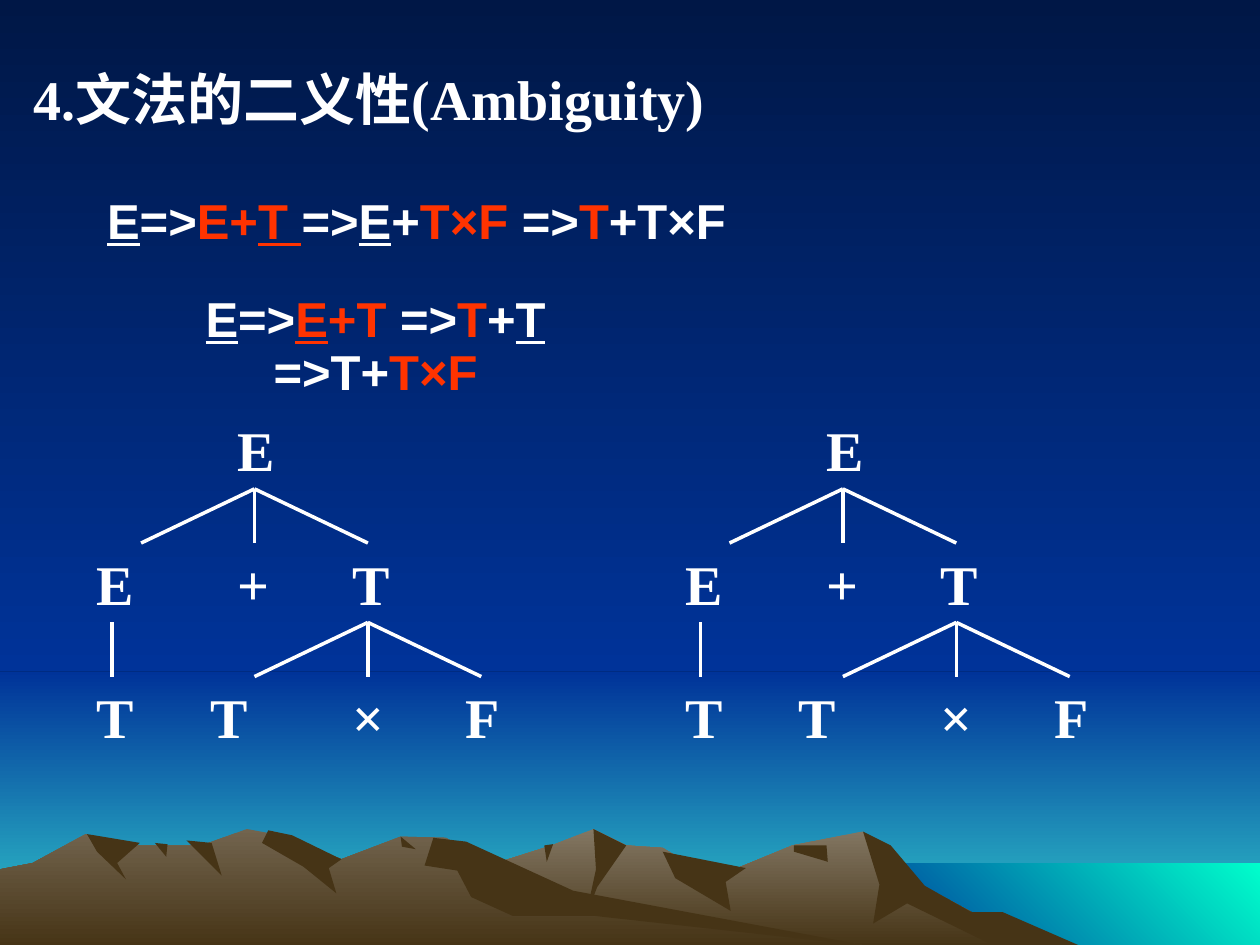
import pptx
import pptx.util
import pptx.dml.color
import pptx.enum.shapes
import pptx.enum.text
import pptx.oxml.ns
import lxml.etree

Inches = pptx.util.Inches
COLORS = {
    "night": "001746", "blue": "003399", "horizon": "33CCCC", "sea": "00FFCC",
    "far_rock": "837763", "near_rock": "72644E", "shade": "463416",
    "white": "FFFFFF", "red": "FF3300",
}


def paint(fill, start, end=None, angle=270):
    if end is None:
        fill.solid()
        fill.fore_color.rgb = pptx.dml.color.RGBColor.from_string(COLORS[start])
        return
    fill.gradient()
    fill.gradient_angle = angle
    for stop, color in zip(fill.gradient_stops, (start, end)):
        stop.color.rgb = pptx.dml.color.RGBColor.from_string(COLORS[color])


def write(left, top, width, height, runs, size, font, align, wrap):
    box = slide.shapes.add_textbox(Inches(left), Inches(top), Inches(width), Inches(height))
    frame = box.text_frame
    frame.word_wrap = wrap
    if not wrap:
        frame.auto_size = pptx.enum.text.MSO_AUTO_SIZE.SHAPE_TO_FIT_TEXT
    paragraph = frame.paragraphs[0]
    paragraph.alignment = align
    paragraph.font.size = pptx.util.Pt(size)
    paragraph.font.name = font
    paragraph.font.bold = True
    for text, color, underline in runs:
        run = paragraph.add_run()
        run.text = text
        run.font.color.rgb = pptx.dml.color.RGBColor.from_string(COLORS[color])
        if underline:
            run.font.underline = True
    return paragraph


deck = pptx.Presentation()
deck.slide_width = Inches(10)
deck.slide_height = Inches(7.5)
slide = deck.slides.add_slide(deck.slide_layouts[6])
paint(slide.background.fill, "night", "blue")

scenery = [
    (0, 5.33, 10, 2.17, "blue", "horizon", 270),
    (0, 0, 10, 5.33, "night", "blue", 270),
    (6.83, 6.85, 3.17, 0.67, "sea", "blue", 225),
]
for left, top, width, height, start, end, angle in scenery:
    band = slide.shapes.add_shape(
        pptx.enum.shapes.MSO_SHAPE.RECTANGLE,
        Inches(left), Inches(top), Inches(width), Inches(height))
    band.shadow.inherit = False
    band.line.fill.background()
    paint(band.fill, start, end, angle)

mountains = [
    (("far_rock", "shade"), [
        (258, 751), (327, 709), (394, 685), (438, 671), (471, 658), (497, 671), (526, 673),
        (566, 697), (629, 671), (685, 660), (723, 698), (821, 751)]),
    (("shade",), [
        (685, 660), (707, 671), (734, 703), (771, 724), (796, 724), (858, 751), (792, 752),
        (720, 717), (693, 733), (698, 702)]),
    (("shade",), [(471, 658), (497, 671), (474, 704), (465, 727), (473, 690)]),
    (("shade",), [(526, 676), (592, 689), (576, 700), (580, 723), (536, 697)]),
    (("shade",), [(630, 671), (656, 671), (657, 684), (630, 676)]),
    (("shade",), [(432, 671), (439, 670), (434, 684)]),
    (("near_rock", "shade"), [
        (0, 751), (0, 690), (26, 685), (68, 662), (94, 671), (160, 671), (196, 658),
        (223, 663), (271, 682), (318, 664), (354, 665), (432, 712), (690, 751)]),
    (("shade",), [
        (213, 659), (232, 663), (271, 682), (261, 689), (267, 709), (241, 688), (208, 669)]),
    (("shade",), [
        (344, 665), (370, 668), (455, 707), (690, 751), (472, 727), (407, 727), (374, 712),
        (363, 691), (337, 687)]),
    (("shade",), [(318, 664), (330, 674), (319, 672)]),
    (("shade",), [(148, 667), (168, 669), (176, 695)]),
    (("shade",), [(123, 669), (133, 670), (132, 680)]),
    (("shade",), [(69, 662), (111, 669), (93, 685), (100, 698), (77, 676)]),
]
for colors, outline in mountains:
    builder = slide.shapes.build_freeform(*outline[0], scale=Inches(0.01))
    builder.add_line_segments(outline[1:], close=True)
    ridge = builder.convert_to_shape()
    ridge.shadow.inherit = False
    ridge.line.fill.background()
    paint(ridge.fill, *colors)

row_tops = [3.25, 4.31, 5.37]
nodes = [
    ("E", 1.79, 0), ("E", 0.67, 1), ("+", 1.79, 1), ("T", 2.7, 1),
    ("T", 0.67, 2), ("T", 1.57, 2), ("×", 2.7, 2), ("F", 3.6, 2),
]
branches = [(2.02, 0, (-0.9, 0, 0.9)), (0.89, 1, (0,)), (2.92, 1, (-0.9, 0, 0.9))]
for tree_left in (0, 4.67):
    for symbol, left, row in nodes:
        write(tree_left + left, row_tops[row], 0.9, 0.63, [(symbol, "white", False)],
              32, "Times New Roman", pptx.enum.text.PP_ALIGN.JUSTIFY, True)
    for parent, row, offsets in branches:
        for offset in offsets:
            branch = slide.shapes.add_connector(
                pptx.enum.shapes.MSO_CONNECTOR.STRAIGHT,
                Inches(tree_left + parent), Inches(row_tops[row] + 0.63),
                Inches(tree_left + parent + offset), Inches(row_tops[row + 1]))
            branch.line.width = pptx.util.Pt(2)
            paint(branch.line.fill, "white")
            lxml.etree.SubElement(branch._element.spPr, pptx.oxml.ns.qn("a:effectLst"))

CENTER = pptx.enum.text.PP_ALIGN.CENTER
rightmost = [
    ("E", "white", True), ("=>", "white", False), ("E+", "red", False), ("T ", "red", True),
    ("=>", "white", False), ("E", "white", True), ("+", "white", False),
    ("T×F ", "red", False), ("=>", "white", False), ("T", "red", False),
    ("+T×F", "white", False),
]
leftmost = [
    ("E", "white", True), ("=>", "white", False), ("E", "red", True), ("+T ", "red", False),
    ("=>", "white", False), ("T", "red", False), ("+", "white", False), ("T ", "white", True),
    ("=>T+", "white", False), ("T×F", "red", False),
]
write(0.75, 1.46, 5.11, 0.57, rightmost, 28, "Arial", CENTER, False)
write(0.67, 2.29, 4.62, 0.52, leftmost, 28, "Arial", CENTER, False).line_spacing = 0.9
write(0.06, 0.46, 5.74, 0.64, [("4.文法的二义性(Ambiguity)", "white", False)],
      32, "Times New Roman", CENTER, False)

deck.save("out.pptx")
